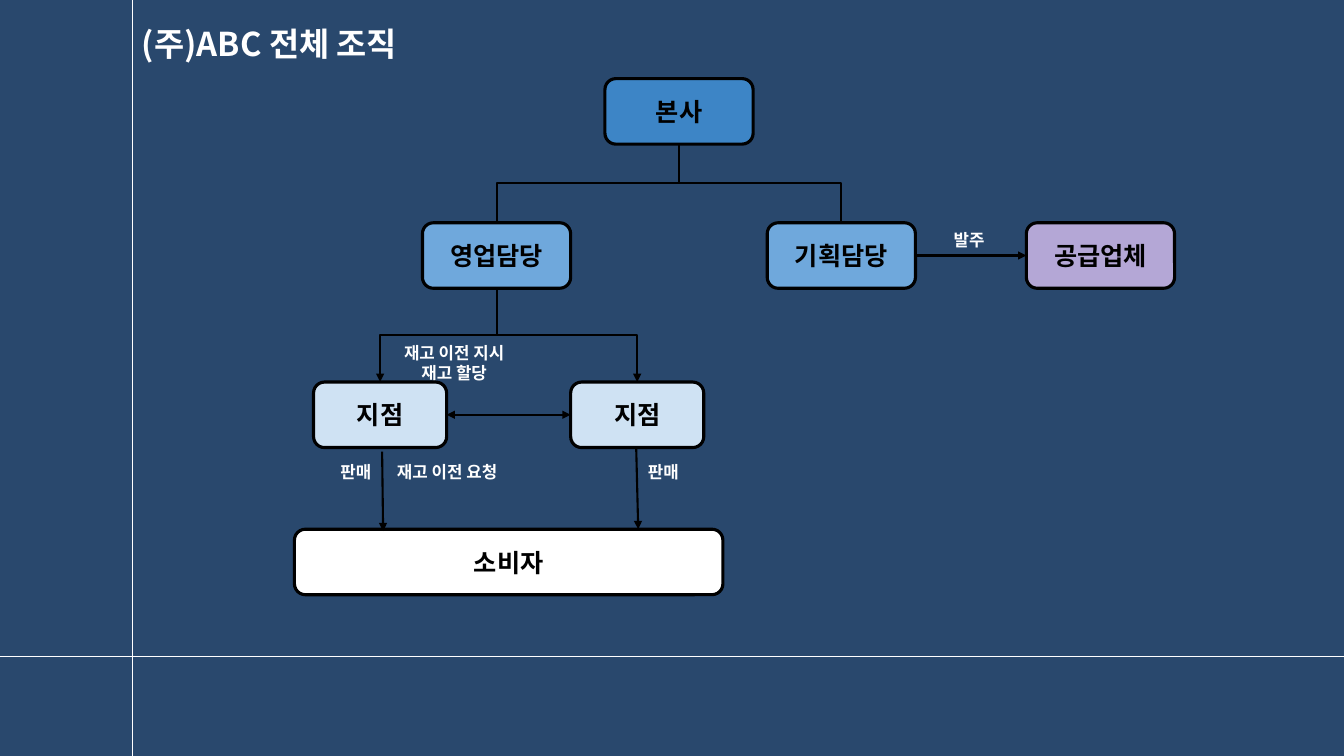
from lxml.etree import SubElement
from pptx import Presentation
from pptx.dml.color import RGBColor
from pptx.enum.shapes import MSO_CONNECTOR, MSO_SHAPE
from pptx.enum.text import MSO_ANCHOR, PP_ALIGN
from pptx.oxml.ns import qn
from pptx.util import Inches, Pt

COLORS = {
    "background": "29486D", "white": "FFFFFF", "black": "000000",
    "head": "3D85C6", "team": "6FA8DC", "supplier": "B4A7D6", "branch": "CFE2F3",
}
FONT = "Noto Sans CJK KR"
BOX_HEIGHT = 0.65
TEAM_WIDTH, BRANCH_WIDTH = 1.47, 1.32
TEAM_TOP, BRANCH_TOP = 2.21, 3.79
TOP, BOTTOM = 0, 2  # connection sites of a box
LEFT, RIGHT = 1, 3


def color(name):
    """Return the named colour."""
    return RGBColor.from_string(COLORS[name])


class OrgChart:
    """Draws the parts of an organisation chart on one slide."""

    def __init__(self, slide):
        """Keep the slide and paint its background."""
        self.slide = slide
        slide.background.fill.solid()
        slide.background.fill.fore_color.rgb = color("background")

    def add_lines(self, frame, lines, size, ink, align, anchor):
        """Fill a text frame with one paragraph for each line."""
        frame.word_wrap = True
        frame.vertical_anchor = anchor
        for index, line in enumerate(lines):
            paragraph = frame.add_paragraph() if index else frame.paragraphs[0]
            paragraph.alignment = align
            run = paragraph.add_run()
            run.text = line
            run.font.size, run.font.bold, run.font.name = Pt(size), True, FONT
            run.font.color.rgb = color(ink)
            SubElement(run.font._element, qn("a:ea"), typeface=FONT)

    def label(self, lines, left, top, width, height, size=12,
              align=PP_ALIGN.CENTER, anchor=MSO_ANCHOR.TOP):
        """Add white text without a frame."""
        box = self.slide.shapes.add_textbox(*map(Inches, (left, top, width, height)))
        self.add_lines(box.text_frame, lines, size, "white", align, anchor)
        return box.text_frame

    def unit(self, name, left, top, width, fill):
        """Add a rounded box for one unit."""
        box = self.slide.shapes.add_shape(
            MSO_SHAPE.ROUNDED_RECTANGLE, *map(Inches, (left, top, width, BOX_HEIGHT)))
        box.shadow.inherit = False
        box.fill.solid()
        box.fill.fore_color.rgb = color(fill)
        box.line.color.rgb = color("black")
        box.line.width = Pt(2.25)
        self.add_lines(box.text_frame, [name], 18, "black", PP_ALIGN.CENTER, MSO_ANCHOR.MIDDLE)
        return box

    def line(self, start, end, ink="black", width=1.5, arrows=(), kind=MSO_CONNECTOR.STRAIGHT):
        """Add a connector; arrows names its pointed ends, headEnd before tailEnd."""
        link = self.slide.shapes.add_connector(kind, *map(Inches, (*start, *end)))
        link.line.color.rgb = color(ink)
        link.line.width = Pt(width)
        for arrow in arrows:
            SubElement(link.line._get_or_add_ln(), qn(f"a:{arrow}"), type="triangle")
        SubElement(link._element.spPr, qn("a:effectLst"))
        return link

    def across(self, source, target, arrows):
        """Join the facing sides of two boxes in one row."""
        link = self.line((0, 0), (0, 0), arrows=arrows)
        link.begin_connect(source, RIGHT)
        link.end_connect(target, LEFT)

    def down(self, parent, child, arrows=()):
        """Join a parent to a child below by a line that bends halfway."""
        link = self.line((0, 0), (0, 0), arrows=arrows, kind=MSO_CONNECTOR.ELBOW)
        link.begin_connect(parent, BOTTOM)
        link.end_connect(child, TOP)
        start_x, end_x = (box.left + box.width // 2 for box in (parent, child))
        start_y, end_y = parent.top + parent.height, child.top
        drop, shift = end_y - start_y, abs(end_x - start_x)
        # A quarter turn about the centre makes the line leave vertically.
        frame = link._element.spPr.xfrm
        for flip in ("flipH", "flipV"):
            frame.attrib.pop(flip, None)
        link.left = (start_x + end_x - drop) // 2
        link.top = (start_y + end_y - shift) // 2
        link.width, link.height = drop, shift
        frame.set("rot", "5400000" if end_x < start_x else "16200000")
        if end_x > start_x:
            frame.set("flipH", "1")


def main():
    """Build the slide and save it."""
    deck = Presentation()
    deck.slide_width, deck.slide_height = Inches(13.33), Inches(7.5)
    chart = OrgChart(deck.slides.add_slide(deck.slide_layouts[6]))

    chart.line((0, 6.51), (13.33, 6.51), "white", 0.75)
    chart.line((1.31, 0), (1.31, 7.5), "white", 0.75)
    title = chart.label(["(주)ABC 전체 조직"], 1.31, 0.13, 3.38, 0.65, 23.4,
                        PP_ALIGN.LEFT, MSO_ANCHOR.MIDDLE)
    title.paragraphs[0].line_spacing = 0.9

    chart.label(["발주"], 9.36, 2.23, 0.54, 0.3, align=PP_ALIGN.LEFT)
    chart.label(["재고 이전 지시", "재고 할당"], 3.84, 3.35, 1.33, 0.5)
    chart.label(["재고 이전 요청"], 3.77, 4.53, 1.33, 0.3)
    for left in (3.26, 6.31):
        chart.label(["판매"], left, 4.53, 0.54, 0.3)

    head_office = chart.unit("본사", 6, 0.78, TEAM_WIDTH, "head")
    sales = chart.unit("영업담당", 4.19, TEAM_TOP, TEAM_WIDTH, "team")
    planning = chart.unit("기획담당", 7.61, TEAM_TOP, TEAM_WIDTH, "team")
    supplier = chart.unit("공급업체", 10.18, TEAM_TOP, TEAM_WIDTH, "supplier")
    branches = [chart.unit("지점", left, BRANCH_TOP, BRANCH_WIDTH, "branch")
                for left in (3.11, 5.66)]
    chart.unit("소비자", 2.92, 5.25, 4.25, "white")

    for team in (planning, sales):
        chart.down(head_office, team)
    for branch in branches:
        chart.down(sales, branch, ["tailEnd"])
    chart.across(planning, supplier, ["tailEnd"])
    chart.across(*branches, ["headEnd", "tailEnd"])
    chart.line((3.79, 4.48), (3.8, 5.27), arrows=["tailEnd"])
    chart.line((6.31, 4.44), (6.33, 5.25), arrows=["tailEnd"])

    deck.save("out.pptx")


main()
